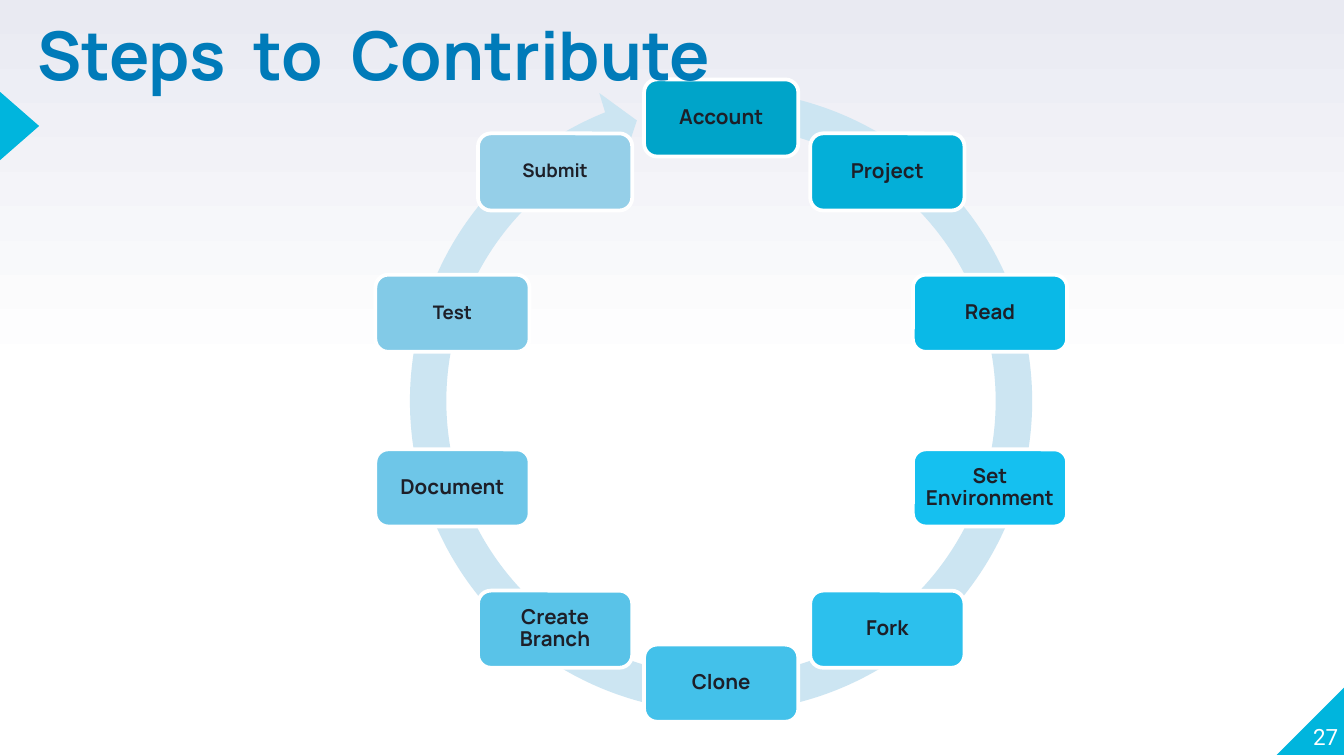
from copy import deepcopy
from dataclasses import dataclass
from math import cos, radians, sin

from pptx import Presentation
from pptx import util as u
from pptx.dml.color import RGBColor
from pptx.enum import shapes, text

Kind = shapes.MSO_SHAPE
Align = text.PP_ALIGN
Anchor = text.MSO_ANCHOR


@dataclass(frozen=True)
class Theme:
    white: str = "FFFFFF"
    haze: str = "E9EAF2"
    accent: str = "00B5DD"
    ring: str = "CCE5F2"
    ink: str = "1D1F28"
    head: str = "007BB9"
    font: str = "Manrope"
    digits: str = "Roboto"
    title: float = 36
    number: float = 12
    label: float = 11
    small: float = 10


class Deck:
    def __init__(self, theme):
        self.theme = theme
        self.prs = Presentation()
        self.prs.slide_width, self.prs.slide_height = u.Pt(720), u.Pt(405)
        self.slide = self.prs.slides.add_slide(self.prs.slide_layouts[5])

    def backdrop(self):
        """White lower half, fading to haze at the top."""
        fill = self.slide.background.fill
        fill.gradient()
        fill.gradient_angle = 90
        stops = self.slide.element.xpath(".//a:gsLst")[0]
        stops.insert(1, deepcopy(stops[0]))
        looks = [(0, self.theme.white), (0.5, self.theme.white), (1, self.theme.haze)]
        for stop, (place, color) in zip(fill.gradient_stops, looks):
            stop.position = place
            stop.color.rgb = RGBColor.from_string(color)

    def shape(self, kind, box, color, edge=None):
        item = self.slide.shapes.add_shape(kind, *map(u.Pt, box))
        item.shadow.inherit = False
        item.fill.solid()
        item.fill.fore_color.rgb = RGBColor.from_string(color)
        if edge:
            item.line.color.rgb = RGBColor.from_string(edge)
            item.line.width = u.Pt(2)
        else:
            item.line.fill.background()
        return item

    def frame(self, item, inset, anchor, align):
        """Set up a text frame and return its first paragraph."""
        body = item.text_frame
        body.word_wrap = True
        body.auto_size = text.MSO_AUTO_SIZE.NONE
        body.vertical_anchor = anchor
        body.margin_left = body.margin_right = u.Pt(inset[0])
        body.margin_top = body.margin_bottom = u.Pt(inset[1])
        para = body.paragraphs[0]
        para.alignment = align
        return para

    def run(self, para, words, size, color, font, bold=False):
        run = para.add_run()
        run.text = words
        run.font.size = u.Pt(size)
        run.font.name = font
        run.font.bold = bold
        run.font.color.rgb = RGBColor.from_string(color)
        return run

    def step(self, words, box, color, size):
        item = self.shape(Kind.ROUNDED_RECTANGLE, box, color, self.theme.white)
        para = self.frame(item, (3.6, 3.6), Anchor.MIDDLE, Align.CENTER)
        para.line_spacing = 0.9
        para.space_after = u.Pt(0.35 * size)
        self.run(para, words, size, self.theme.ink, self.theme.font, True)

    def number(self, words, box):
        item = self.slide.shapes.add_textbox(*map(u.Pt, box))
        para = self.frame(item, (0, 0), Anchor.BOTTOM, Align.RIGHT)
        self.run(para, words, self.theme.number, self.theme.white, self.theme.digits)

    def title(self, words, box, gap):
        """Fill the title, widen its word gaps and bring it to the front."""
        item = self.slide.shapes.title
        item.left, item.top, item.width, item.height = map(u.Pt, box)
        para = self.frame(item, (7.2, 3.6), Anchor.TOP, Align.LEFT)
        look = (self.theme.title, self.theme.head, self.theme.font, True)
        for i, word in enumerate(words.split()):
            if i:
                space = self.run(para, " ", *look)
                space.font._element.set("spc", str(gap * 100))
            self.run(para, word, *look)
        tree = item.element.getparent()
        tree.append(item.element)


STEPS = [
    ("Account", "00A4C9"), ("Project", "04AFD8"), ("Read", "0AB9E7"),
    ("Set Environment", "15C0F0"), ("Fork", "2CC0ED"), ("Clone", "43C1EA"),
    ("Create Branch", "59C3E8"), ("Document", "6EC6E8"), ("Test", "82CAE7"),
    ("Submit", "95CFE8"),
]


def main():
    theme = Theme()
    deck = Deck(theme)
    deck.backdrop()

    # Corner with slide number, and side marker
    corner = deck.shape(Kind.RIGHT_TRIANGLE, (684, 368, 36.5, 36.5), theme.accent)
    corner.element.spPr.get_or_add_xfrm().set("flipH", "1")
    marker = deck.shape(Kind.ISOSCELES_TRIANGLE, (-7.9, 57, 36.7, 21), theme.accent)
    marker.rotation = 90
    deck.number("27", (681, 365, 36, 36.7))

    # Ring arrow behind the steps
    ring = deck.shape(Kind.CIRCULAR_ARROW, (208.8, 37.4, 355, 355), theme.ring)
    for i, value in enumerate((0.055, 3.307, 148.68, 167.51, 0.058)):
        ring.adjustments[i] = value

    # Steps spaced evenly clockwise from the top
    mid, axis, reach = 386.4, 214.6, 151.4
    wide, high = 82.6, 41.3
    for i, (words, color) in enumerate(STEPS):
        turn = radians(360 / len(STEPS) * i)
        left = mid + reach * sin(turn) - wide / 2
        top = axis - reach * cos(turn) - high / 2
        size = theme.small if words in ("Test", "Submit") else theme.label
        deck.step(words, (left, top, wide, high), color, size)

    # Title
    deck.title("Steps to Contribute", (13, 3.6, 401, 51), 8)
    deck.prs.save("out.pptx")


if __name__ == "__main__":
    main()
